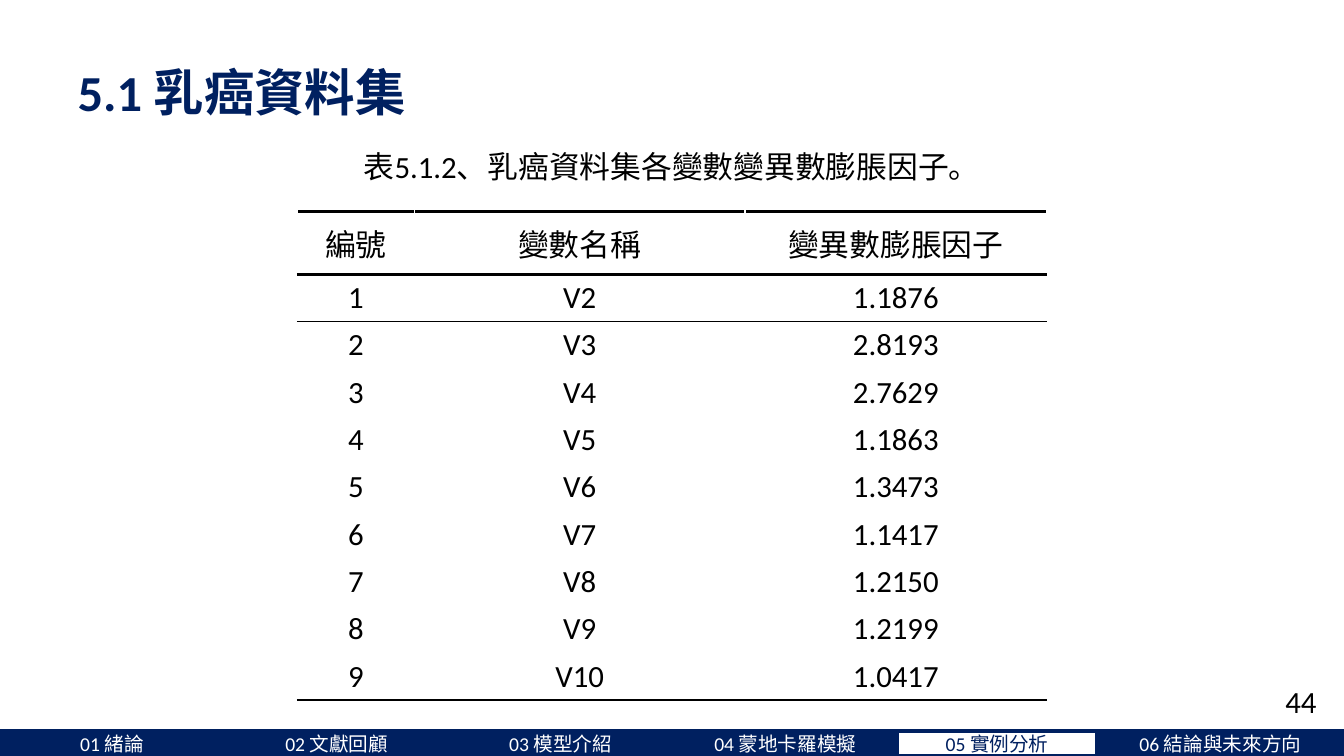
from lxml.etree import SubElement
from pptx import Presentation
from pptx.dml.color import RGBColor
from pptx.enum.shapes import MSO_SHAPE
from pptx.enum.text import MSO_ANCHOR, MSO_AUTO_SIZE, PP_ALIGN
from pptx.oxml.ns import qn
from pptx.util import Inches, Pt

HUES = {"navy": "002060", "white": "FFFFFF", "black": "000000"}


def style(para, size, hue, bold=False, align=PP_ALIGN.LEFT):
    para.alignment = align
    font = para.font
    font.name, font.size, font.bold = "Calibri", Pt(size), bold
    font.color.rgb = RGBColor.from_string(HUES[hue])


def border(cell, side, hue, width):
    """Add one cell border; call in the order L, R, T, B."""
    line = SubElement(cell._tc.get_or_add_tcPr(), qn(f"a:ln{side}"), w=str(Pt(width)))
    fill = SubElement(line, qn("a:solidFill"))
    SubElement(fill, qn("a:srgbClr"), val=HUES[hue])


deck = Presentation()
deck.slide_width, deck.slide_height = Inches(13.33), Inches(7.5)
slide = deck.slides.add_slide(deck.slide_layouts[5])

# Navigation bar
tabs = [
    (0, 2.22, "01 緒論"),
    (2.23, 2.22, "02 文獻回顧"),
    (4.45, 2.22, "03 模型介紹"),
    (6.68, 2.22, "04 蒙地卡羅模擬"),
    (8.9, 1.98, "05 實例分析"),
    (10.88, 2.45, "06 結論與未來方向"),
]
for left, width, label in tabs:
    active = label.startswith("05")
    tab = slide.shapes.add_shape(MSO_SHAPE.RECTANGLE, Inches(left), Inches(7.25),
                                 Inches(width), Inches(0.25))
    tab.shadow.inherit = False
    tab.fill.solid()
    tab.fill.fore_color.rgb = RGBColor.from_string(HUES["white" if active else "navy"])
    tab.line.color.rgb = RGBColor.from_string(HUES["navy"])
    tab.line.width = Pt(3)
    frame = tab.text_frame
    frame.text = label
    frame.vertical_anchor = MSO_ANCHOR.MIDDLE
    style(frame.paragraphs[0], 14, "navy" if active else "white", align=PP_ALIGN.CENTER)

# Title
title = slide.shapes.title
title.left, title.top = Inches(0.67), Inches(0.57)
title.width, title.height = Inches(6.7), Inches(0.74)
frame = title.text_frame
frame.text = "5.1 乳癌資料集"
frame.auto_size = MSO_AUTO_SIZE.NONE
frame.vertical_anchor = MSO_ANCHOR.TOP
frame.margin_left = frame.margin_right = Inches(0.1)
frame.margin_top = frame.margin_bottom = Inches(0.1)
frame.paragraphs[0].line_spacing = 0.9
style(frame.paragraphs[0], 36, "navy", bold=True)

# Page number and table caption
notes = [
    (12.65, 6.72, 0.57, "44"),
    (3.51, 1.42, 6.32, "表5.1.2、乳癌資料集各變數變異數膨脹因子。"),
]
for left, top, width, words in notes:
    box = slide.shapes.add_textbox(Inches(left), Inches(top), Inches(width), Inches(0.47))
    frame = box.text_frame
    frame.text = words
    frame.word_wrap = False
    frame.auto_size = MSO_AUTO_SIZE.SHAPE_TO_FIT_TEXT
    style(frame.paragraphs[0], 22, "black")

# Table of variance inflation factors
factors = ["1.1876", "2.8193", "2.7629", "1.1863", "1.3473",
           "1.1417", "1.2150", "1.2199", "1.0417"]
rows = [("編號", "變數名稱", "變異數膨脹因子")]
rows += [(str(n), f"V{n + 1}", factor) for n, factor in enumerate(factors, 1)]
rules = {0: 2.25, 1: 2.25, 2: 1.5, len(rows): 1.5}

holder = slide.shapes.add_table(len(rows), 3, Inches(2.95), Inches(2.1),
                                Inches(7.43), Inches(4.85))
table = holder.table
table.first_row = table.horz_banding = False
for col, width in zip(table.columns, (1.16, 3.28, 2.99)):
    col.width = Inches(width)
for r, row in enumerate(rows):
    table.rows[r].height = Inches(0.47 if r else 0.62)
    for c, words in enumerate(row):
        cell = table.cell(r, c)
        cell.text = words
        cell.vertical_anchor = MSO_ANCHOR.MIDDLE
        cell.margin_left = cell.margin_right = Inches(0.07)
        cell.margin_top = cell.margin_bottom = 0
        style(cell.text_frame.paragraphs[0], 22, "black", align=PP_ALIGN.CENTER)
        for side in "LR":
            border(cell, side, "white", 1)
        for side, edge in (("T", r), ("B", r + 1)):
            border(cell, side, "black" if edge in rules else "white", rules.get(edge, 1))
        cell.fill.background()

deck.save("out.pptx")
